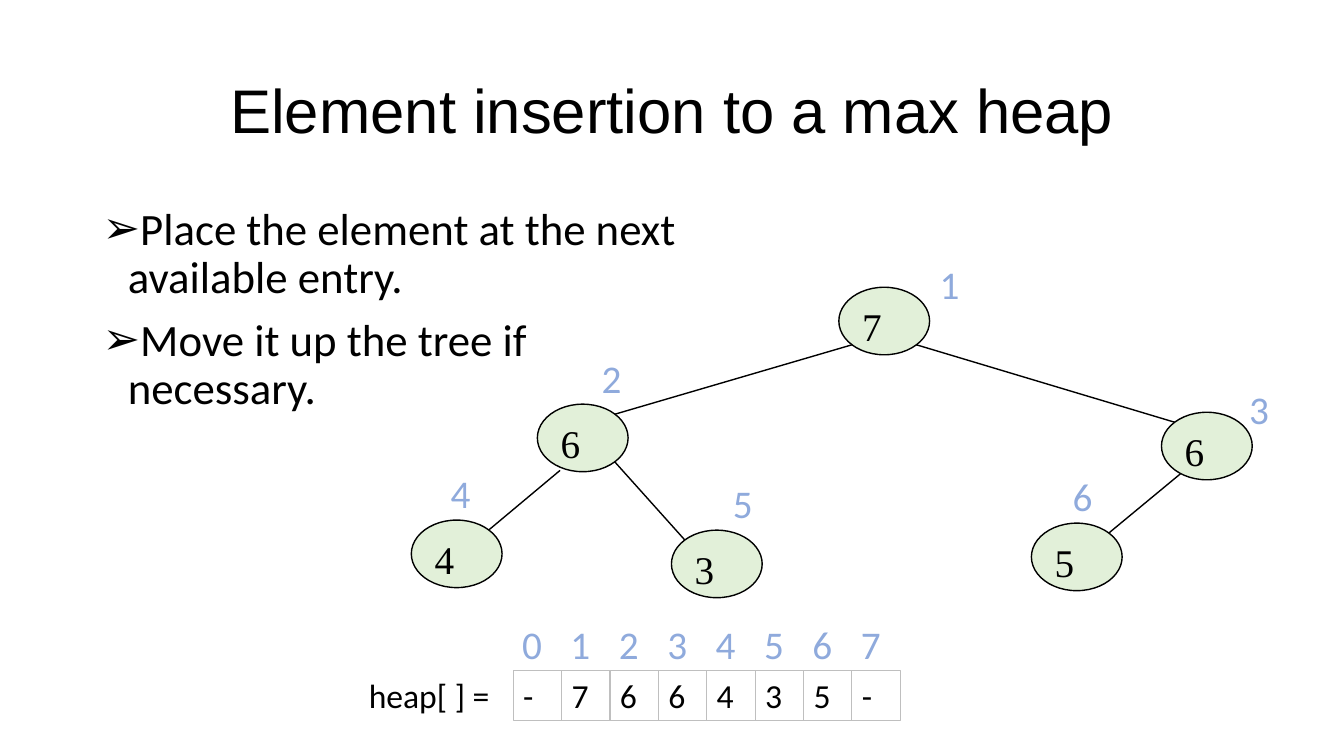
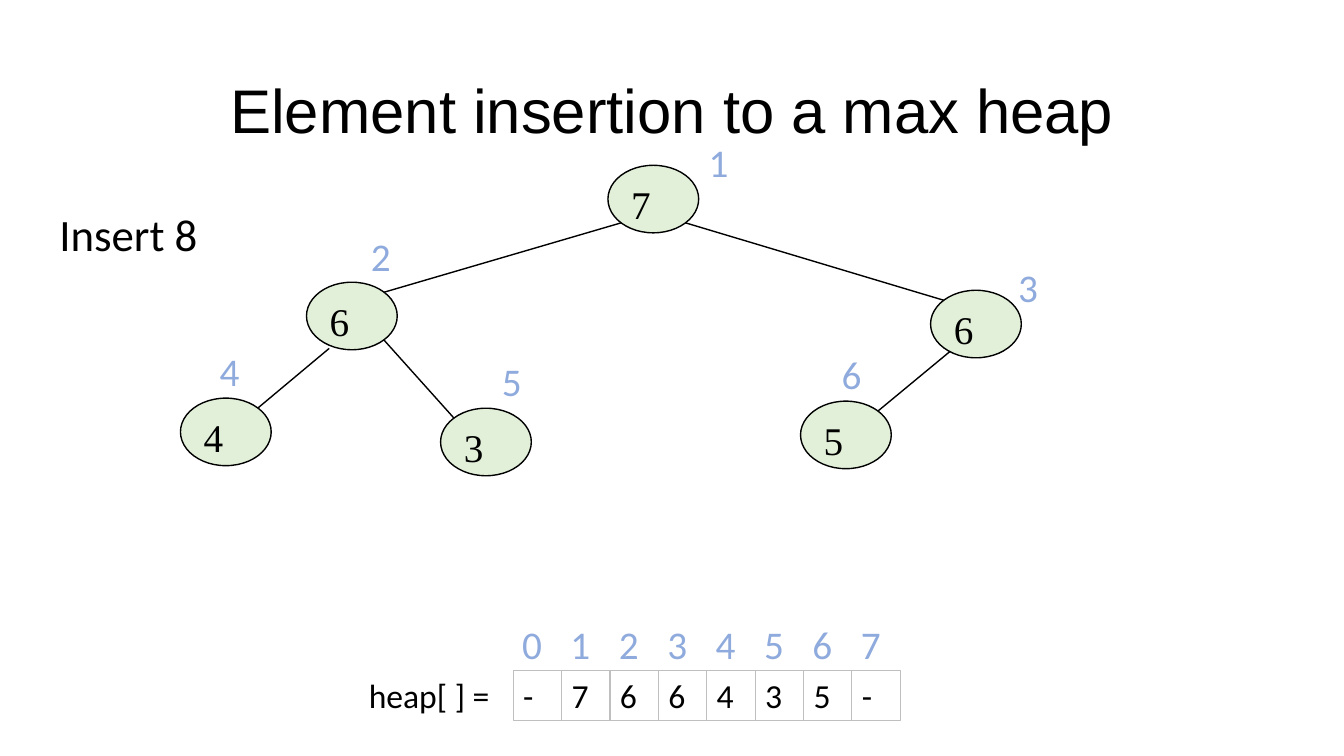
"""Two slides on inserting an element into a max heap."""
from lxml import etree
from pptx import Presentation
from pptx import util as u
from pptx.dml.color import RGBColor
from pptx.enum import shapes, text
from pptx.oxml.ns import qn

# The grid has square cells, one inch on each side.
COLUMNS, ROWS = 13.33, 7.5
CELL = u.Inches(1)

COLORS = {"ink": "000000", "node": "E2F0D9", "index": "8FAADC",
          "cell": "BFBFBF", "paper": "FFFFFF"}

FORMATS = {
    "title": {"name": "Arial", "size": u.Pt(44), "color": "ink"},
    "body": {"name": "Calibri", "size": u.Pt(32), "color": "ink"},
    "node": {"name": "Times New Roman", "size": u.Pt(28), "color": "ink"},
    "index": {"name": "Calibri", "size": u.Pt(28), "color": "index"},
    "array": {"name": "Calibri", "size": u.Pt(24), "color": "ink"},
}

TITLE = "Element insertion to a max heap"
STEPS = ["Place the element at the next available entry.",
         "Move it up the tree if necessary."]

NODE_WIDTH, NODE_HEIGHT = 0.9, 0.67
NEAR, FAR = 0.15, 0.85  # where a diagonal meets an ellipse, as shares of its box

# Heap index: (value, node offset from the root, index label offset from the node)
NODES = {
    1: ("7", (0, 0), (0.9, -0.32)),
    2: ("6", (-2.99, 1.16), (0.54, -0.54)),
    3: ("6", (3.2, 1.24), (0.77, -0.32)),
    4: ("4", (-4.24, 2.31), (0.29, -0.55)),
    5: ("3", (-1.66, 2.41), (0.51, -0.55)),
    6: ("5", (1.91, 2.34), (0.31, -0.55)),
}
# (parent, child): share of the parent's box where the edge starts
EDGES = {
    (1, 2): (NEAR, FAR),
    (1, 3): (FAR, FAR),
    (2, 4): (0.25, 0.98),
    (2, 5): (FAR, FAR),
    (3, 6): (0.21, 0.91),
}

ARRAY = ["-", "7", "6", "6", "4", "3", "5", "-"]
ARRAY_LEFT, ARRAY_TOP, ARRAY_PITCH = 5.09, 6.65, 0.48
INDEX_TOP = 6.1


def grid(*values):
    """Turn grid columns and rows into slide lengths."""
    return [round(value * CELL) for value in values]


def rgb(name):
    """Look up a colour by name."""
    return RGBColor.from_string(COLORS[name])


def set_attributes(target, values):
    """Set each attribute of the target from a dict."""
    for name, value in values.items():
        setattr(target, name, value)


def write(shape, lines, style, frame=None, paragraph=None):
    """Write lines into a shape in a named style and return its paragraphs."""
    text_frame = shape.text_frame
    set_attributes(text_frame, {"word_wrap": True,
                                "vertical_anchor": text.MSO_ANCHOR.TOP,
                                **(frame or {})})
    text_frame.text = "\n".join(lines)
    font_format = dict(FORMATS[style])
    color = rgb(font_format.pop("color"))
    for item in text_frame.paragraphs:
        set_attributes(item, {"alignment": text.PP_ALIGN.LEFT, **(paragraph or {})})
        for run in item.runs:
            set_attributes(run.font, font_format)
            run.font.color.rgb = color
    return text_frame.paragraphs


def add_text(slide, box, lines, style, frame=None, paragraph=None):
    """Add a text box on the grid."""
    shape = slide.shapes.add_textbox(*grid(*box))
    return write(shape, lines, style, frame, paragraph)


def add_label(slide, box, words, style):
    """Add a one-line text box that fits its text."""
    add_text(slide, box, [words], style,
             {"word_wrap": False, "auto_size": text.MSO_AUTO_SIZE.SHAPE_TO_FIT_TEXT})


def add_outlined(parent, kind, box, words, style, line, width, fill=None, frame=None):
    """Add a preset shape with an outline, an optional fill and text."""
    shape = parent.shapes.add_shape(kind, *grid(*box))
    shape.shadow.inherit = False
    if fill:
        shape.fill.solid()
        shape.fill.fore_color.rgb = rgb(fill)
    else:
        shape.fill.background()
    shape.line.color.rgb = rgb(line)
    shape.line.width = u.Pt(width)
    write(shape, [words], style, frame)


def add_edge(parent, start, end):
    """Add a plain line between two grid points."""
    edge = parent.shapes.add_connector(
        shapes.MSO_CONNECTOR.STRAIGHT, *grid(*start, *end))
    edge.line.color.rgb = rgb("ink")
    edge.line.width = u.Pt(1)
    etree.SubElement(edge._element.spPr, qn("a:effectLst"))


def add_bullet(paragraph, mark, indent):
    """Give a paragraph a bullet with a hanging indent."""
    properties = paragraph._p.get_or_add_pPr()
    properties.set("marL", str(indent))
    properties.set("indent", str(-indent))
    etree.SubElement(properties, qn("a:buFont")).set("typeface", "Arial")
    etree.SubElement(properties, qn("a:buChar")).set("char", mark)


def add_title(slide):
    """Add the shared title."""
    add_text(slide, (0.92, 0.4, 11.5, 1.45), [TITLE], "title",
             {"vertical_anchor": text.MSO_ANCHOR.MIDDLE},
             {"alignment": text.PP_ALIGN.CENTER, "line_spacing": 0.9})


def add_steps(slide):
    """Add the bulleted insertion steps."""
    steps = add_text(slide, (0.92, 2, 6.16, 4.76), STEPS, "body",
                     paragraph={"line_spacing": 0.9, "space_before": u.Pt(10)})
    for step in steps:
        add_bullet(step, "\u27a2", u.Inches(0.25))


def add_tree(slide, root_left, root_top):
    """Draw the heap as a tree, with an index beside each node."""
    group = slide.shapes.add_group_shape()
    places = {index: (root_left + right, root_top + down)
              for index, (_, (right, down), _) in NODES.items()}

    def point(index, share):
        """Find the point at a share of a node's box."""
        left, top = places[index]
        return left + share[0] * NODE_WIDTH, top + share[1] * NODE_HEIGHT

    for index, (value, _, (right, down)) in NODES.items():
        left, top = places[index]
        add_outlined(group, shapes.MSO_SHAPE.OVAL,
                     (left, top, NODE_WIDTH, NODE_HEIGHT),
                     value, "node", "ink", 1, "node")
        add_label(slide, (left + right, top + down, 0.4, 0.57), str(index), "index")
    for (parent, child), share in EDGES.items():
        child_is_left = places[child][0] < places[parent][0]
        add_edge(group, point(parent, share),
                 point(child, (FAR if child_is_left else NEAR, NEAR)))


def add_array(slide):
    """Draw the heap as an array with its indices above."""
    fit = {"auto_size": text.MSO_AUTO_SIZE.SHAPE_TO_FIT_TEXT}
    rectangle = shapes.MSO_SHAPE.RECTANGLE
    add_outlined(slide, rectangle, (3.56, ARRAY_TOP, 1.41, 0.5), "heap[ ] =",
                 "array", "paper", 0.75, frame={**fit, "word_wrap": False})
    for index, value in enumerate(ARRAY):
        left = ARRAY_LEFT + index * ARRAY_PITCH
        add_outlined(slide, rectangle, (left, ARRAY_TOP, ARRAY_PITCH, 0.5), value,
                     "array", "cell", 0.75, frame=fit)
        add_label(slide, (left - 0.01, INDEX_TOP, 0.4, 0.57), str(index), "index")


def add_heap_slide(presentation, root):
    """Add a slide with the title, the tree at the given root and the array."""
    slide = presentation.slides.add_slide(presentation.slide_layouts[6])
    add_title(slide)
    add_tree(slide, *root)
    add_array(slide)
    return slide


def main():
    """Build and save the presentation."""
    presentation = Presentation()
    presentation.slide_width, presentation.slide_height = grid(COLUMNS, ROWS)
    add_steps(add_heap_slide(presentation, (8.32, 2.85)))
    insertion = add_heap_slide(presentation, (6.03, 1.64))
    add_label(insertion, (0.49, 2, 1.59, 0.64), "Insert 8", "body")
    presentation.save("out.pptx")


main()
